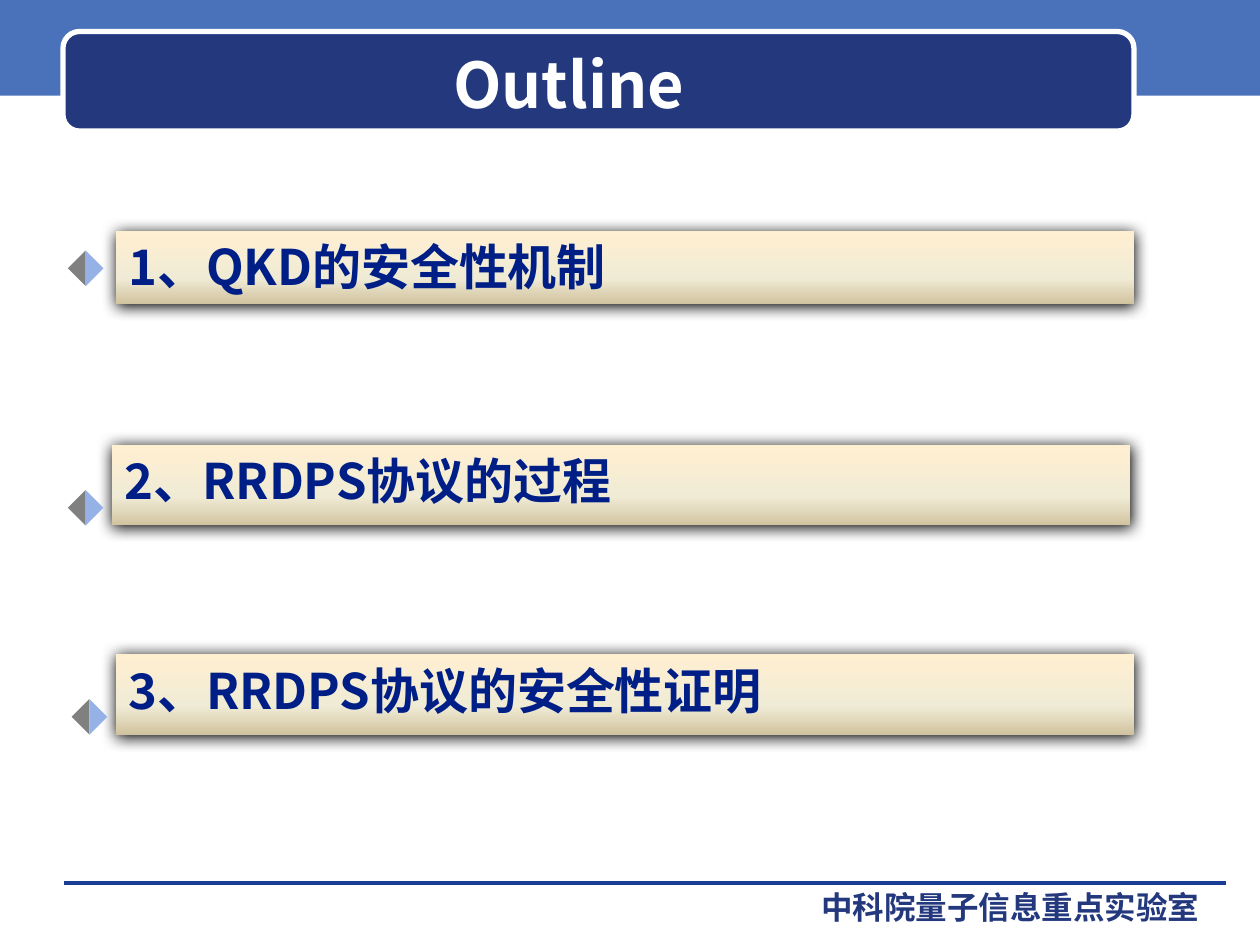
"""Build the outline slide with three gradient bars and diamond markers."""
from pptx import Presentation
from pptx.dml.color import RGBColor
from pptx.enum.shapes import MSO_CONNECTOR, MSO_SHAPE
from pptx.enum.text import MSO_ANCHOR, PP_ALIGN
from pptx.oxml import parse_xml
from pptx.oxml.ns import nsdecls, qn
from pptx.util import Inches, Pt

SKY = RGBColor(0x49, 0x72, 0xBB)
NAVY = RGBColor(0x23, 0x38, 0x7D)
INK = RGBColor(0x00, 0x1F, 0x86)
RULE = RGBColor(0x1A, 0x3D, 0x97)
GREY = RGBColor(0x80, 0x80, 0x80)
PALE_BLUE = RGBColor(0x96, 0xB1, 0xE6)
WHITE = RGBColor(0xFF, 0xFF, 0xFF)
BAR_STOPS = (
    (0, RGBColor(0xFF, 0xEF, 0xD1)),
    (65, RGBColor(0xF0, 0xEB, 0xD5)),
    (100, RGBColor(0xD1, 0xC3, 0x9F)),
)
CJK_FONT = "Noto Sans CJK SC"
FOOTER_FONT = "DejaVu Sans"
MARKER_SIZE = 0.2
ITEMS = (
    ("1、QKD的安全性机制", (0.92, 1.83, 8.08, 0.58), (0.58, 2.03)),
    ("2、RRDPS协议的过程", (0.89, 3.53, 8.08, 0.64), (0.58, 3.93)),
    ("3、RRDPS协议的安全性证明", (0.92, 5.19, 8.08, 0.64), (0.61, 5.59)),
)


def add_block(page, kind, area, color=None):
    """Add a flat preset shape without outline or shadow."""
    block = page.shapes.add_shape(kind, *map(Inches, area))
    block.shadow.inherit = False
    block.line.fill.background()
    if color is not None:
        block.fill.solid()
        block.fill.fore_color.rgb = color
    return block


def write_text(shape, text, font_name, size, color, align=PP_ALIGN.LEFT):
    """Write one bold paragraph into a shape."""
    paragraph = shape.text_frame.paragraphs[0]
    paragraph.text = text
    paragraph.alignment = align
    font = paragraph.font
    font.name, font.size, font.bold = font_name, Pt(size), True
    font.color.rgb = color


def add_label(page, area, text, font_name, size, color, align=PP_ALIGN.LEFT,
              anchor=MSO_ANCHOR.TOP):
    """Add a wrapping text box."""
    label = page.shapes.add_textbox(*map(Inches, area))
    label.text_frame.word_wrap = True
    label.text_frame.vertical_anchor = anchor
    write_text(label, text, font_name, size, color, align)


def add_rule(page, left, right, top):
    """Add the hairline above the footer."""
    rule = page.shapes.add_connector(
        MSO_CONNECTOR.STRAIGHT, *map(Inches, (left, top, right, top)))
    rule.line.color.rgb = RULE
    rule.line.width = Pt(0)
    rule._element.spPr.append(parse_xml(f"<a:effectLst {nsdecls('a')}/>"))


def add_bar(page, area, text):
    """Add a gradient bar with a soft shadow and its heading."""
    bar = add_block(page, MSO_SHAPE.RECTANGLE, area)
    stops = "".join(
        f'<a:gs pos="{place * 1000}"><a:srgbClr val="{color}"/></a:gs>'
        for place, color in BAR_STOPS)
    properties = bar._element.spPr
    properties.find(qn("a:ln")).addprevious(parse_xml(
        f'<a:gradFill {nsdecls("a")} rotWithShape="1"><a:gsLst>{stops}</a:gsLst>'
        '<a:lin ang="5400000" scaled="0"/></a:gradFill>'))
    properties.find(qn("a:effectLst")).append(parse_xml(
        f'<a:outerShdw {nsdecls("a")} blurRad="{Pt(8.5)}" dist="{Pt(1)}" '
        'dir="5400000" rotWithShape="0"><a:srgbClr val="000000"/></a:outerShdw>'))
    bar.text_frame.word_wrap = True
    bar.text_frame.vertical_anchor = MSO_ANCHOR.TOP
    write_text(bar, text, CJK_FONT, 28, INK)


def add_marker(page, left, top):
    """Add a diamond made of a grey half and a blue half."""
    for color, angle in ((GREY, 45), (PALE_BLUE, 225)):
        half = add_block(page, MSO_SHAPE.RIGHT_TRIANGLE,
                         (left, top, MARKER_SIZE, MARKER_SIZE), color)
        half.rotation = angle


def add_frame(page):
    """Add the header band, title and footer."""
    add_block(page, MSO_SHAPE.RECTANGLE, (0, 0, 10, 0.76), SKY)
    add_rule(page, 0.51, 9.73, 7.01)
    plate = add_block(page, MSO_SHAPE.ROUNDED_RECTANGLE, (0.5, 0.25, 8.5, 0.79), NAVY)
    plate.line.color.rgb = WHITE
    plate.line.width = Pt(3)
    add_label(page, (6.42, 7, 3.33, 0.33), "中科院量子信息重点实验室",
              FOOTER_FONT, 18, NAVY)
    add_label(page, (0.6, 0.35, 7.83, 0.62), "Outline", CJK_FONT, 36, WHITE,
              PP_ALIGN.CENTER, MSO_ANCHOR.MIDDLE)


def main():
    """Build and save the slide."""
    deck = Presentation()
    deck.slide_width, deck.slide_height = Inches(10), Inches(7.5)
    page = deck.slides.add_slide(deck.slide_layouts[6])
    add_frame(page)
    for text, area, marker in ITEMS:
        add_bar(page, area, text)
        add_marker(page, *marker)
    deck.save("out.pptx")


if __name__ == "__main__":
    main()
